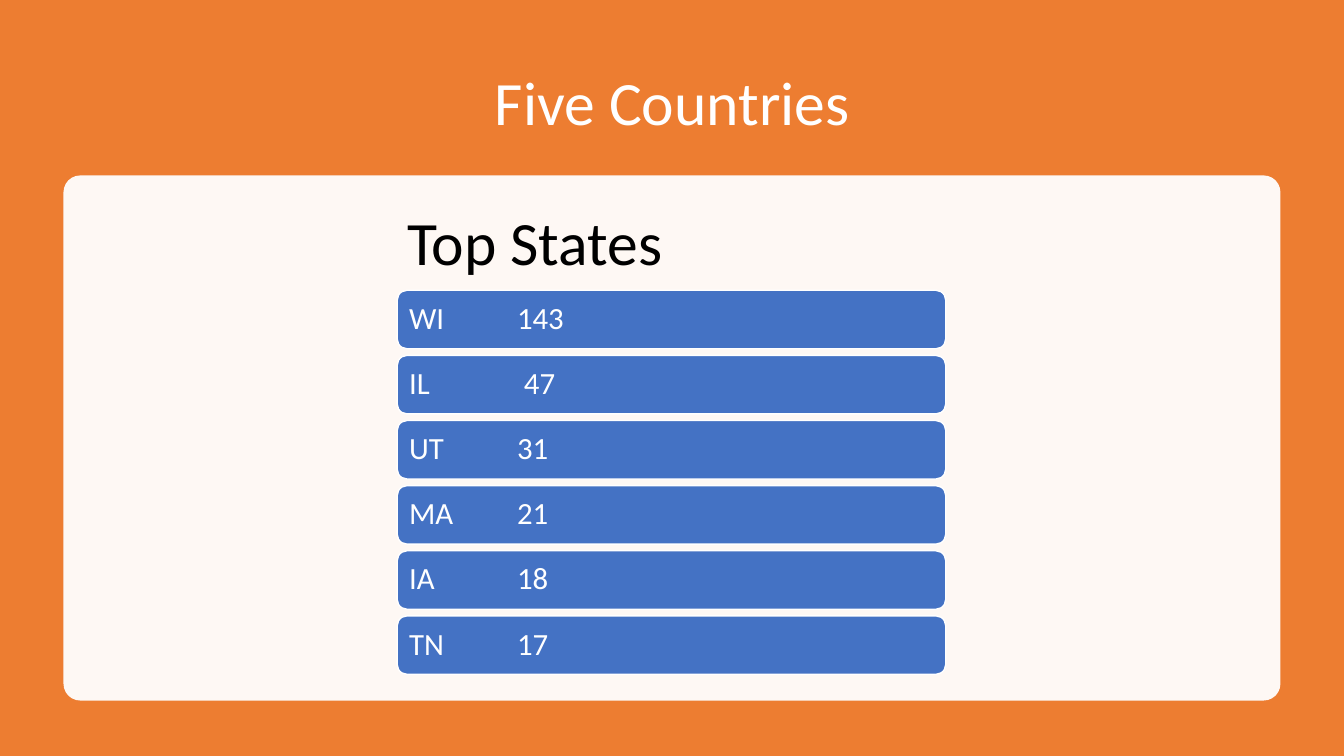
from dataclasses import dataclass

from lxml.etree import SubElement
from pptx import Presentation
from pptx.dml.color import RGBColor
from pptx.enum.shapes import MSO_SHAPE
from pptx.enum.text import MSO_ANCHOR, PP_ALIGN
from pptx.oxml.ns import qn
from pptx.util import Inches, Pt

ORANGE, BLUE, WHITE, BLACK = "ED7D31", "4472C4", "FFFFFF", "000000"
WIDTH, HEIGHT = 13.33, 7.5
LEFT, WIDE = 3.94, 5.44
TOP, TALL, PITCH = 2.88, 0.58, 0.646


@dataclass
class State:
    code: str
    count: str


STATES = [
    State("WI", "143"),
    State("IL", " 47"),
    State("UT", "31"),
    State("MA", "21"),
    State("IA", "18"),
    State("TN", "17"),
]


def paint(target, shade: str) -> None:
    """Give a fill one solid colour."""
    target.solid()
    target.fore_color.rgb = RGBColor.from_string(shade)


def set_all(target, **values) -> None:
    for name, value in values.items():
        setattr(target, name, value)


def add_box(slide, kind, left: float, top: float, width: float, height: float, shade: str):
    box = slide.shapes.add_shape(kind, Inches(left), Inches(top), Inches(width), Inches(height))
    box.shadow.inherit = False
    paint(box.fill, shade)
    box.line.fill.background()
    return box


def write(frame, text: str, size: int, shade: str, **layout):
    """Fill the first paragraph and return it."""
    frame.word_wrap = True
    para = frame.paragraphs[0]
    para.text = text
    set_all(para, **layout)
    set_all(para.font, size=Pt(size), name="Calibri")
    paint(para.font.fill, shade)
    return para


def add_state(slide, state: State, top: float) -> None:
    bar = add_box(slide, MSO_SHAPE.ROUNDED_RECTANGLE, LEFT, top, WIDE, TALL, BLUE)
    paint(bar.line.fill, WHITE)
    bar.line.width = Pt(1)
    frame = bar.text_frame
    inset = Inches(0.09)
    set_all(frame, margin_left=inset, margin_right=inset, margin_top=inset,
            margin_bottom=inset, vertical_anchor=MSO_ANCHOR.MIDDLE)
    # The tab stop lines up the counts
    props = frame.paragraphs[0]._p.get_or_add_pPr()
    stops = SubElement(props, qn("a:tabLst"))
    SubElement(stops, qn("a:tab"), pos=str(Inches(1.07)), algn="l")
    write(frame, f"{state.code}\t{state.count}", 22, WHITE,
          alignment=PP_ALIGN.LEFT, line_spacing=0.9)


def main() -> None:
    deck = Presentation()
    set_all(deck, slide_width=Inches(WIDTH), slide_height=Inches(HEIGHT))
    slide = deck.slides.add_slide(deck.slide_layouts[5])

    # Backdrop, with the title lifted in front of it
    add_box(slide, MSO_SHAPE.RECTANGLE, 0, 0, WIDTH, HEIGHT, ORANGE)
    title = slide.shapes.title
    title.element.getparent().append(title.element)
    set_all(title, left=Inches(0.92), top=Inches(0.5), width=Inches(11.5), height=Inches(1.1))
    title.text_frame.vertical_anchor = MSO_ANCHOR.MIDDLE
    write(title.text_frame, "Five Countries", 44, WHITE,
          alignment=PP_ALIGN.CENTER, line_spacing=0.9)

    # Pale panel
    panel = add_box(slide, MSO_SHAPE.ROUNDED_RECTANGLE, 0.63, 1.74, 12.07, 5.21, WHITE)
    panel.adjustments[0] = 0.032
    tint = panel.element.spPr.find(qn("a:solidFill"))[0]
    SubElement(tint, qn("a:alpha"), val="95000")

    # Heading and ranked states
    head = slide.shapes.add_textbox(Inches(LEFT), Inches(1.97), Inches(WIDE), Inches(0.87))
    write(head.text_frame, "Top States", 44, BLACK, space_after=Pt(6))
    for rank, state in enumerate(STATES):
        add_state(slide, state, TOP + rank * PITCH)

    deck.save("out.pptx")


if __name__ == "__main__":
    main()
